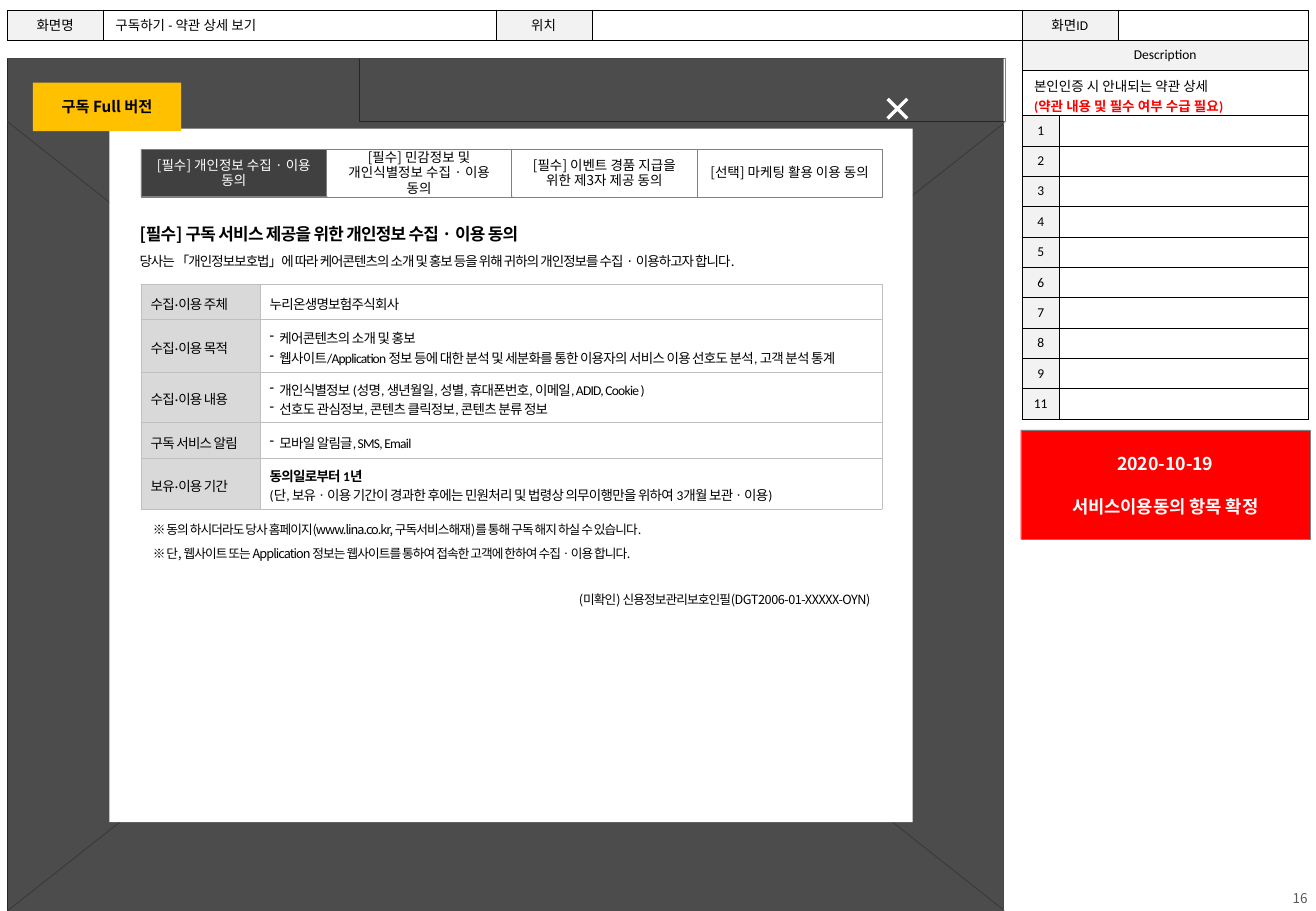
from dataclasses import dataclass
from typing import Any, Optional

from lxml.etree import SubElement
from pptx import Presentation
from pptx.dml.color import RGBColor
from pptx.enum.shapes import MSO_CONNECTOR, MSO_SHAPE
from pptx.enum.text import MSO_ANCHOR, PP_ALIGN
from pptx.oxml.ns import qn
from pptx.util import Inches, Pt


@dataclass(frozen=True)
class Theme:
    black: str = "000000"
    white: str = "FFFFFF"
    red: str = "FF0000"
    amber: str = "FFC000"
    dark: str = "404040"
    slate: str = "595959"
    gray: str = "808080"
    silver: str = "BFBFBF"
    mist: str = "D9D9D9"
    pale: str = "F2F2F2"
    sans: str = "Noto Sans CJK KR"
    latin: str = "Calibri"
    note: float = 7.5
    body: float = 8
    badge: float = 9
    head: float = 10
    alert: float = 10.5
    hair: float = 0.25
    thin: float = 0.5


T = Theme()
LEFT, MID, RIGHT = PP_ALIGN.LEFT, PP_ALIGN.CENTER, PP_ALIGN.RIGHT


@dataclass(frozen=True)
class Line:
    text: str = ""
    size: float = T.body
    color: str = T.black
    bold: bool = False
    align: Any = LEFT
    face: str = T.sans
    track: float = 0
    lead: Optional[float] = None
    before: float = 0
    dash: bool = False
    tail: str = ""
    slack: float = 0


@dataclass(frozen=True)
class Box:
    area: tuple
    fill: str
    edge: Optional[str] = None
    lines: tuple = ()
    alpha: int = 100
    kind: Any = MSO_SHAPE.RECTANGLE
    turn: float = 0


@dataclass(frozen=True)
class Label:
    area: tuple
    line: Line
    wrap: bool = True
    anchor: Any = MSO_ANCHOR.TOP


@dataclass(frozen=True)
class Cell:
    lines: tuple = (Line(face=T.latin),)
    fill: str = T.white
    pad: tuple = (0.1, 0.03, 0.03)


@dataclass(frozen=True)
class Grid:
    spot: tuple
    cols: tuple
    rows: tuple
    cells: list
    edge: str


def rgb(code: str) -> RGBColor:
    return RGBColor.from_string(code)


def write(frame: Any, lines: tuple) -> None:
    for at, line in enumerate(lines):
        para = frame.paragraphs[0] if at == 0 else frame.add_paragraph()
        para.alignment = line.align
        if line.lead:
            para.line_spacing = line.lead
        if line.before:
            para.space_before = Pt(line.before)
        props = para._p.get_or_add_pPr()
        if line.dash:
            props.set("marL", str(Inches(0.08)))
            props.set("indent", str(-Inches(0.08)))
            SubElement(props, qn("a:buChar"), char="-")
        font = para.font
        font.size, font.bold, font.name = Pt(line.size), line.bold, line.face
        font.color.rgb = rgb(line.color)
        SubElement(font._element, qn("a:ea"), typeface=T.sans)
        for text, gap in ((line.text, line.track), (line.tail, line.slack)):
            if text:
                run = para.add_run()
                run.text = text
                if gap:
                    run.font._element.set("spc", str(round(gap * 100)))
        if not line.text:
            SubElement(para._p, qn("a:endParaRPr"), sz=str(round(line.size * 100)))


def draw_box(slide: Any, box: Box) -> None:
    shape = slide.shapes.add_shape(box.kind, *map(Inches, box.area))
    shape.shadow.inherit = False
    shape.rotation = box.turn
    shape.fill.solid()
    shape.fill.fore_color.rgb = rgb(box.fill)
    if box.alpha < 100:
        tint = shape.fill._xPr.find(qn("a:solidFill"))[0]
        SubElement(tint, qn("a:alpha"), val=str(box.alpha * 1000))
    if box.edge:
        shape.line.color.rgb = rgb(box.edge)
        shape.line.width = Pt(T.hair)
    else:
        shape.line.fill.background()
    if box.kind == MSO_SHAPE.MATH_PLUS:
        shape.adjustments[0] = 0.088
    if box.lines:
        frame = shape.text_frame
        frame.word_wrap = True
        frame.margin_top = frame.margin_bottom = 0
        frame.vertical_anchor = MSO_ANCHOR.MIDDLE
        write(frame, box.lines)


def draw_label(slide: Any, label: Label) -> None:
    frame = slide.shapes.add_textbox(*map(Inches, label.area)).text_frame
    frame.word_wrap = label.wrap
    frame.vertical_anchor = label.anchor
    write(frame, (label.line,))


def draw_line(slide: Any, ends: tuple) -> None:
    line = slide.shapes.add_connector(MSO_CONNECTOR.STRAIGHT, *map(Inches, ends))
    line.line.color.rgb = rgb(T.silver)
    line.line.width = Pt(T.thin)
    SubElement(line._element.spPr, qn("a:effectLst"))


def draw_grid(slide: Any, grid: Grid) -> Any:
    area = (*grid.spot, sum(grid.cols), sum(grid.rows))
    table = slide.shapes.add_table(len(grid.rows), len(grid.cols), *map(Inches, area)).table
    table.first_row = table.horz_banding = False
    for col, width in zip(table.columns, grid.cols):
        col.width = Inches(width)
    for row, height, items in zip(table.rows, grid.rows, grid.cells):
        row.height = Inches(height)
        for cell, item in zip(row.cells, items):
            props = cell._tc.get_or_add_tcPr()
            for side in ("lnL", "lnR", "lnT", "lnB"):
                edge = SubElement(props, qn(f"a:{side}"), w=str(Pt(T.hair)))
                SubElement(SubElement(edge, qn("a:solidFill")), qn("a:srgbClr"), val=grid.edge)
            cell.fill.solid()
            cell.fill.fore_color.rgb = rgb(item.fill)
            cell.vertical_anchor = MSO_ANCHOR.MIDDLE
            side, top, base = map(Inches, item.pad)
            cell.margin_left = cell.margin_right = side
            cell.margin_top, cell.margin_bottom = top, base
            write(cell.text_frame, item.lines)
    return table


def head(text: str) -> Cell:
    return Cell((Line(text, align=MID, face=T.latin),), T.pale, (0.03, 0.03, 0.03))


def entry(lines: tuple, fill: str = T.white) -> Cell:
    return Cell(lines, fill, (0.08, 0.06, 0.03))


def term(text: str, bold: bool = False, dash: bool = False) -> Line:
    return Line(text, bold=bold, dash=dash, face=T.latin, track=-0.45)


def note(text: str, **more: Any) -> Line:
    return Line(text, size=T.note, track=-0.6, lead=0.8, **more)


TABS = ("[필수] 개인정보 수집 · 이용 동의", "[필수] 민감정보 및 개인식별정보 수집 · 이용 동의",
        "[필수] 이벤트 경품 지급을 위한 제3자 제공 동의", "[선택] 마케팅 활용 이용 동의")
TERMS = (
    ("수집·이용 주체", (term("누리온생명보험주식회사"),)),
    ("수집·이용 목적", (term("케어콘텐츠의 소개 및 홍보", dash=True), term(
        "웹사이트/Application 정보 등에 대한 분석 및 세분화를 통한 이용자의 서비스 이용 선호도 분석, 고객 분석 통계", dash=True))),
    ("수집·이용 내용", (
        term("개인식별정보 (성명, 생년월일, 성별, 휴대폰번호, 이메일, ADID, Cookie )", dash=True),
        term("선호도 관심정보, 콘텐츠 클릭정보, 콘텐츠 분류 정보", dash=True))),
    ("구독 서비스 알림", (term("모바일 알림글, SMS, Email", dash=True),)),
    ("보유·이용 기간", (term("동의일로부터 1년", bold=True), term(
        "(단, 보유ㆍ이용 기간이 경과한 후에는 민원처리 및 법령상 의무이행만을 위하여 3개월 보관ㆍ이용)"))),
)


def main() -> None:
    deck = Presentation()
    deck.slide_width, deck.slide_height = Inches(10.83), Inches(7.5)
    slide = deck.slides.add_slide(deck.slide_layouts[6])
    page = (0.06, 0.48, 8.2, 7.02)

    draw_label(slide, Label((10.1, 7.27, 0.76, 0.24), Line("16", color=T.slate, align=RIGHT),
                            anchor=MSO_ANCHOR.MIDDLE))
    for area in (page, (2.96, 0.48, 5.31, 0.52)):
        draw_box(slide, Box(area, T.white, T.gray))
    for ends in ((0.06, 1, 8.27, 7.5), (8.28, 1, 0.06, 7.5)):
        draw_line(slide, ends)

    name = Cell((Line("구독하기 - 약관 상세 보기", face=T.latin),))
    draw_grid(slide, Grid((0.06, 0.08), (0.79, 3.23, 0.79, 3.54, 0.79, 1.57), (0.25,),
                          [[head("화면명"), name, head("위치"), Cell(), head("화면ID"), Cell()]],
                          T.black))
    draw_box(slide, Box(page, T.black, alpha=70))

    about = Cell((Line("본인인증 시 안내되는 약관 상세", face=T.latin),
                  Line("(약관 내용 및 필수 여부 수급 필요)", color=T.red, bold=True, face=T.latin)),
                 pad=(0.1, 0.04, 0))
    rows = [[head("Description"), Cell()], [about, Cell()]]
    rows += [[head(str(num)), Cell()] for num in (*range(1, 10), 11)]
    side = draw_grid(slide, Grid((8.41, 0.33), (0.31, 2.05), (0.25, 0.37) + (0.25,) * 10,
                                 rows, T.black))
    for row in range(2):
        side.cell(row, 0).merge(side.cell(row, 1))

    draw_box(slide, Box((0.9, 1.06, 6.61, 5.71), T.white))
    draw_box(slide, Box((7.23, 0.74, 0.31, 0.31), T.white, kind=MSO_SHAPE.MATH_PLUS, turn=45))
    draw_box(slide, Box((0.27, 0.68, 1.22, 0.4), T.amber,
                        lines=(Line("구독 Full 버전", T.badge, bold=True, align=MID),)))
    for at, text in enumerate(TABS):
        fill, ink = (T.white, T.black) if at else (T.dark, T.white)
        line = Line(text, color=ink, align=MID, lead=0.95)
        draw_box(slide, Box((1.16 + at * 1.525, 1.23, 1.53, 0.39), fill, T.gray, (line,)))

    draw_label(slide, Label((1.05, 2.03, 6.14, 0.35), Line(
        "당사는 「개인정보보호법」에 따라 케어콘텐츠의 소개 및 홍보 등을 위해 귀하의 개인정보를 수집 · 이용하고자 합니다.", track=-0.6)))
    draw_grid(slide, Grid((1.16, 2.34), (0.98, 5.12), (0.29, 0.43, 0.42, 0.29, 0.42),
                          [[entry((term(key),), T.mist), entry(lines)] for key, lines in TERMS],
                          T.silver))
    notes = (
        (4.27, note("※ 동의 하시더라도 당사 홈페이지(www.lina.co.kr, 구독서비스해재)를 통해 구독 해지 하실 수 있습니다.")),
        (4.47, note("※ 단, 웹사이트 또는 Application 정보는 웹사이트를 통하여 접속한 고객에 한하여 수집ㆍ이용 합니다.")),
        (4.85, note("(미확인) 신용정보관리보호인필", align=RIGHT, tail="(DGT2006-01-XXXXX-OYN)", slack=-0.3)),
    )
    for top, line in notes:
        draw_label(slide, Label((1.16, top, 6.1, 0.24), line))
    draw_label(slide, Label((1.05, 1.79, 3.67, 0.27), Line(
        "[필수] 구독 서비스 제공을 위한 개인정보 수집 · 이용 동의", T.head, bold=True, track=-0.4), wrap=False))
    draw_box(slide, Box((8.4, 3.54, 2.38, 0.9), T.red, T.gray, tuple(
        Line(text, T.alert, T.white, True, MID, before=gap)
        for text, gap in (("2020-10-19", 0), ("서비스이용동의 항목 확정", 13)))))
    deck.save("out.pptx")


if __name__ == "__main__":
    main()
